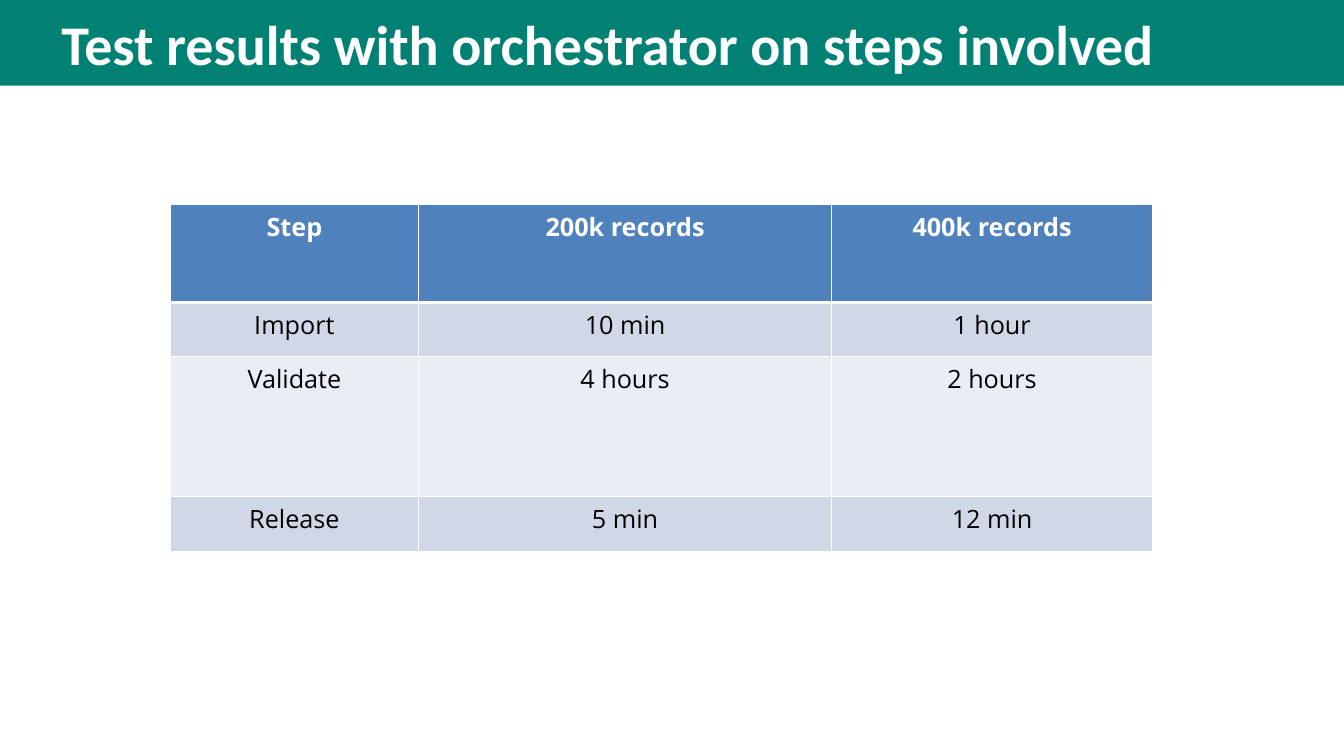
from lxml import etree
from pptx import Presentation
from pptx.dml.color import RGBColor
from pptx.enum import shapes, text
from pptx.oxml.ns import qn
from pptx.util import Inches, Pt

WHITE = RGBColor(0xFF, 0xFF, 0xFF)
BLACK = RGBColor(0x00, 0x00, 0x00)
TEAL = RGBColor(0x00, 0x81, 0x73)
HEADER_BLUE = RGBColor(0x4F, 0x81, 0xBD)
ODD_ROW = RGBColor(0xD0, 0xD8, 0xE8)
EVEN_ROW = RGBColor(0xE9, 0xED, 0xF4)

RESULTS = [
    ("Step", "200k records", "400k records"),
    ("Import", "10 min", "1 hour"),
    ("Validate", "4 hours", "2 hours"),
    ("Release", "5 min", "12 min"),
]
COLUMN_WIDTHS = (2.46, 4.1, 3.18)
ROW_HEIGHTS = (0.97, 0.54, 1.39, 0.54)


def style_font(paragraph, name, size, color, bold):
    font = paragraph.font
    font.name, font.size, font.bold = name, Pt(size), bold
    font.color.rgb = color


def add_band(page, width):
    """Add the title band behind everything else."""
    band = page.shapes.add_shape(
        shapes.MSO_SHAPE.RECTANGLE, 0, 0, width, Inches(0.85))
    band.shadow.inherit = False
    band.fill.solid()
    band.fill.fore_color.rgb = TEAL
    band.line.fill.background()
    page.shapes._spTree.insert(2, band._element)


def set_title(page, wording):
    title = page.shapes.title
    title.left, title.top = Inches(0.51), Inches(0.04)
    title.width, title.height = Inches(12.3), Inches(0.74)
    frame = title.text_frame
    frame.text = wording
    frame.word_wrap = True
    frame.auto_size = text.MSO_AUTO_SIZE.NONE
    frame.vertical_anchor = text.MSO_ANCHOR.TOP
    paragraph = frame.paragraphs[0]
    paragraph.alignment = text.PP_ALIGN.LEFT
    style_font(paragraph, "Calibri", 40, WHITE, True)


def set_border(cell, side, points):
    properties = cell._tc.get_or_add_tcPr()
    line = etree.SubElement(properties, qn(f"a:ln{side}"), w=str(Pt(points)))
    fill = etree.SubElement(line, qn("a:solidFill"))
    etree.SubElement(fill, qn("a:srgbClr"), val=str(WHITE))


def fill_cell(cell, wording, row):
    header = row == 0
    # Borders must precede the fill in the cell properties.
    for side in "LRTB":
        thick = (header and side == "B") or (row == 1 and side == "T")
        set_border(cell, side, 3 if thick else 1)
    cell.fill.solid()
    cell.fill.fore_color.rgb = (
        HEADER_BLUE if header else ODD_ROW if row % 2 else EVEN_ROW)
    cell.text = wording
    paragraph = cell.text_frame.paragraphs[0]
    paragraph.alignment = text.PP_ALIGN.CENTER
    style_font(paragraph, "Open Sans", 18, WHITE if header else BLACK, header)


def add_results_table(page):
    table = page.shapes.add_table(
        len(RESULTS), len(COLUMN_WIDTHS), Inches(1.69), Inches(2.03),
        Inches(sum(COLUMN_WIDTHS)), Inches(sum(ROW_HEIGHTS))).table
    for column, width in zip(table.columns, COLUMN_WIDTHS):
        column.width = Inches(width)
    for row, height in zip(table.rows, ROW_HEIGHTS):
        row.height = Inches(height)
    for row, entries in enumerate(RESULTS):
        for column, wording in enumerate(entries):
            fill_cell(table.cell(row, column), wording, row)


def main():
    deck = Presentation()
    deck.slide_width, deck.slide_height = Inches(13.33), Inches(7.5)
    page = deck.slides.add_slide(deck.slide_layouts.get_by_name("Title Only"))
    add_band(page, deck.slide_width)
    set_title(page, "Test results with orchestrator on steps involved")
    add_results_table(page)
    deck.save("out.pptx")


if __name__ == "__main__":
    main()
